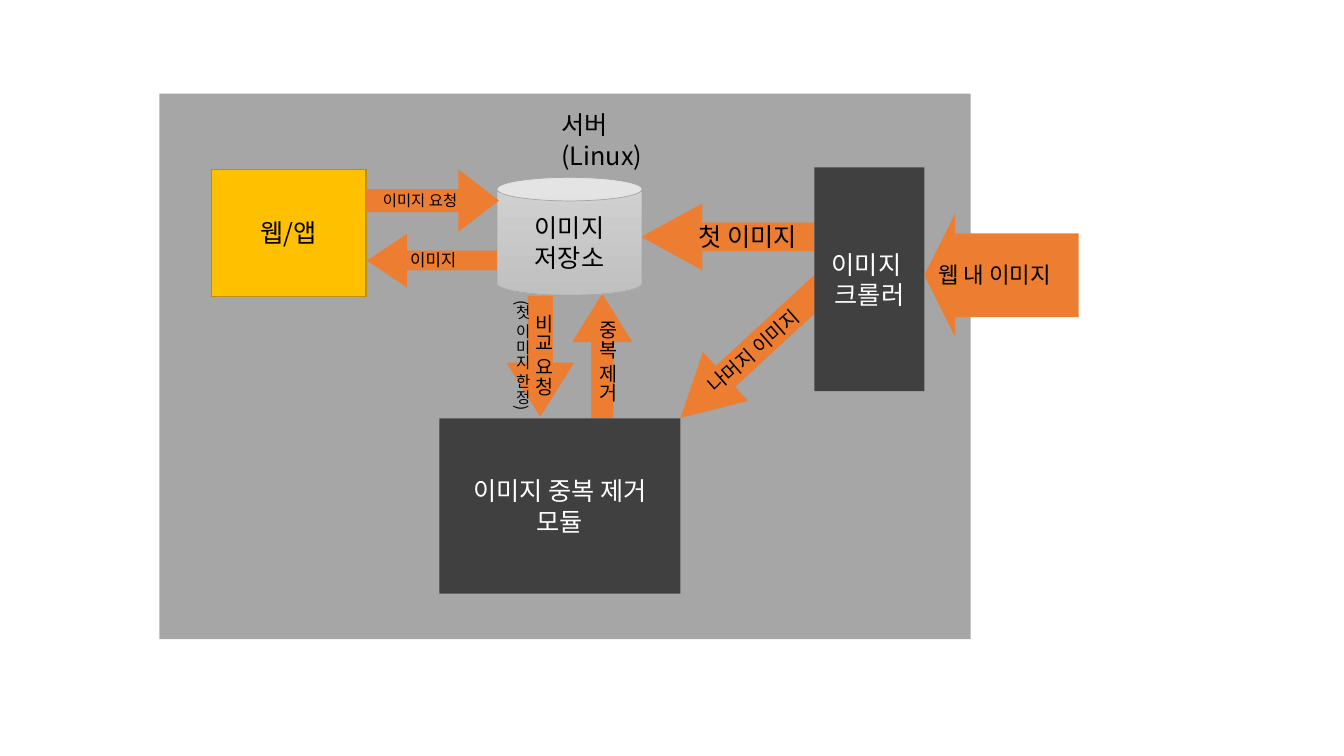
from pptx import Presentation
from pptx import util as u
from pptx.dml.color import RGBColor
from pptx.enum import shapes, text
from pptx.oxml.ns import qn
from lxml import etree

FONT = "Noto Sans CJK KR"
CELL = u.Inches(0.1)  # the slide is a grid of 133.3 columns by 75 rows
COLORS = {
    "server": "A6A6A6", "arrow": "ED7D31", "module": "404040",
    "app": "FFC000", "app_line": "BD8E00", "store_line": "A5A5A5",
    "store_top": "D2D2D2", "store_bottom": "C0C0C0",
    "dark": "000000", "light": "FFFFFF",
}
KIND = shapes.MSO_SHAPE


def rgb(name):
    return RGBColor.from_string(COLORS[name])


def grid(*cells):
    return [u.Emu(round(c * CELL)) for c in cells]


def write(sp, words, sizes, color="dark", align=None):
    """Fill a shape with text; sizes holds one point size per paragraph."""
    tf = sp.text_frame
    tf.text = words
    for p, size in zip(tf.paragraphs, sizes):
        p.alignment = align
        for r in p.runs:
            r.font.size = u.Pt(size)
            r.font.name = FONT
            r.font.color.rgb = rgb(color)
            etree.SubElement(r.font._element, qn("a:ea"), typeface=FONT)


def add_block(parent, kind, box, fill, line=None, width=1):
    sp = parent.shapes.add_shape(kind, *grid(*box))
    sp.shadow.inherit = False
    sp.fill.solid()
    sp.fill.fore_color.rgb = rgb(fill)
    if line:
        sp.line.color.rgb = rgb(line)
        sp.line.width = u.Pt(width)
    else:
        sp.line.fill.background()
    return sp


def add_node(parent, kind, box, words, fill, color, line=None, width=1):
    sp = add_block(parent, kind, box, fill, line, width)
    sp.text_frame.word_wrap = True
    sp.text_frame.vertical_anchor = text.MSO_ANCHOR.MIDDLE
    write(sp, words, [18] * 2, color, text.PP_ALIGN.CENTER)
    return sp


def add_arrow(parent, kind, box, shaft, head, rotation=0):
    sp = add_block(parent, kind, box, "arrow")
    sp.adjustments[0], sp.adjustments[1] = shaft, head
    sp.rotation = rotation


def add_label(parent, box, words, *sizes, rotation=0, vertical=False,
              wrap=False, align=None):
    sp = parent.shapes.add_textbox(*grid(*box))
    sp.rotation = rotation
    tf = sp.text_frame
    tf.word_wrap = wrap
    tf.auto_size = text.MSO_AUTO_SIZE.SHAPE_TO_FIT_TEXT
    if vertical:
        tf._txBody.bodyPr.set("vert", "eaVert")
    write(sp, words, sizes, align=align)


def add_store(slide):
    sp = add_node(slide, KIND.CAN, (49.3, 17.6, 14.4, 11.7), "이미지\n저장소",
                  "store_top", "dark", "store_line", 0.5)
    sp.adjustments[0] = 0.2
    sp.fill.gradient()
    sp.fill.gradient_angle = 270
    for stop, name in zip(sp.fill.gradient_stops, ("store_top", "store_bottom")):
        stop.color.rgb = rgb(name)


def main():
    prs = Presentation()
    prs.slide_width, prs.slide_height = grid(133.33, 75)
    slide = prs.slides.add_slide(prs.slide_layouts[6])

    # Server area
    add_block(slide, KIND.RECTANGLE, (15.8, 9.3, 80.5, 54.1), "server")

    # Crawler and its outgoing arrows
    add_arrow(slide, KIND.DOWN_ARROW, (68.9, 14.9, 6.6, 17.2), 0.43, 0.92, 90)
    add_arrow(slide, KIND.DOWN_ARROW, (71.6, 24.6, 6.6, 20.1), 0.43, 0.92, 47.3)
    add_node(slide, KIND.RECTANGLE, (80.8, 16.6, 10.9, 22.2),
             "이미지 \v크롤러", "module", "light")

    # Images coming in from the web
    add_arrow(slide, KIND.RIGHT_ARROW, (53.6, 32.3, 12.3, 6), 0.37, 0.8, 270)
    web = slide.shapes.add_group_shape()
    add_arrow(web, KIND.LEFT_ARROW, (91.7, 21.2, 15.3, 12.2), 0.68, 0.25)
    add_label(web, (92.1, 25.4, 15.3, 3.7), "웹 내 이미지", 16, wrap=True)

    # Image store and duplicate removal module
    add_arrow(slide, KIND.RIGHT_ARROW, (47.6, 32, 12, 6.7), 0.37, 0.8, 90)
    add_store(slide)
    add_node(slide, KIND.RECTANGLE, (43.6, 41.5, 23.9, 17.4),
             "이미지 중복 제거 모듈", "module", "light")
    add_label(slide, (54.7, 10.4, 14.5, 4), "서버(Linux)", 18)

    # Web or app client
    add_node(slide, KIND.RECTANGLE, (21, 16.8, 15.3, 12.6), "웹/앱",
             "app", "dark", "app_line")
    add_arrow(slide, KIND.RIGHT_ARROW, (36.3, 16.8, 13.2, 6.2), 0.37, 0.65)
    add_arrow(slide, KIND.RIGHT_ARROW, (36.4, 23.2, 12.9, 5.3), 0.37, 0.75, 180)

    # Arrow labels
    add_label(slide, (68.3, 21.5, 13, 4), "첫 이미지", 18)
    add_label(slide, (68, 32.7, 14.5, 3.4), "나머지 이미지", 14, rotation=318.7)
    add_label(slide, (57.6, 30.8, 4.4, 10), "중복 제거", 14, vertical=True)
    add_label(slide, (49.4, 28.8, 6.2, 12.9), "비교 요청\n(첫 이미지 한정)",
              14, 11, vertical=True, align=text.PP_ALIGN.CENTER)
    add_label(slide, (39.7, 24.3, 7.1, 3), "이미지", 12)
    add_label(slide, (37, 18.5, 10.3, 2.9), "이미지 요청", 11)

    prs.save("out.pptx")


if __name__ == "__main__":
    main()
